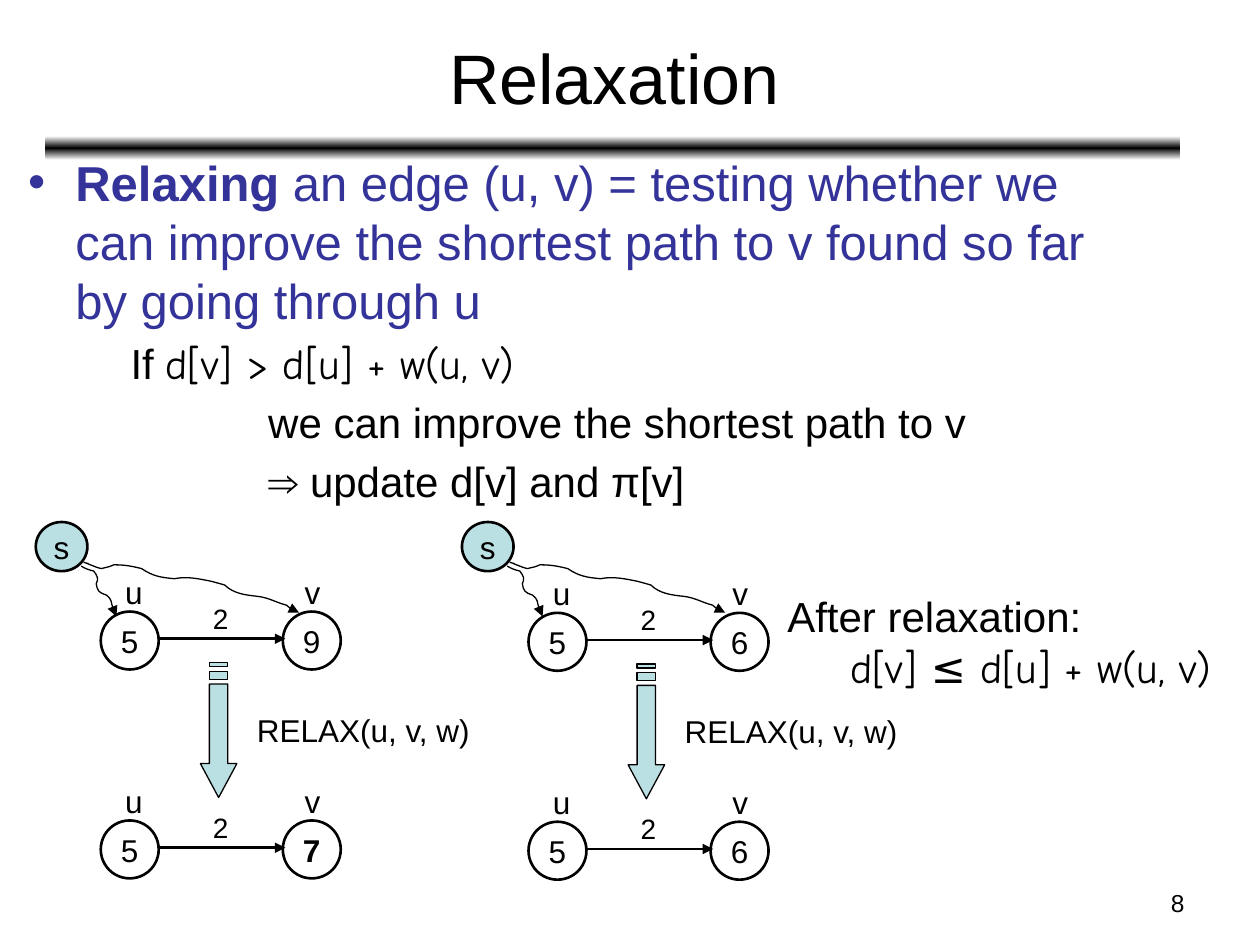
"""Build the slide that explains edge relaxation on two small graphs."""
from copy import deepcopy
from typing import NamedTuple

from lxml.etree import SubElement
from pptx import Presentation
from pptx.dml.color import RGBColor
from pptx.enum.shapes import MSO_CONNECTOR, MSO_SHAPE
from pptx.enum.text import MSO_ANCHOR, PP_ALIGN
from pptx.oxml.ns import qn
from pptx.util import Emu, Inches, Pt

COLORS = {"ink": "000000", "paper": "FFFFFF", "topic": "333399", "accent": "BBE0E3"}
SANS, HAND = "Arial", "Comic Neue"
COLUMNS = 100

Point = tuple[float, float]
Box = tuple[float, float, float, float]


class Run(NamedTuple):
    text: str
    size: float = 18
    font: str = SANS
    color: str = "ink"
    bold: bool = False


class Line(NamedTuple):
    runs: list[Run]
    indent: float = 0
    before: float = 0
    bullet: bool = False
    level: int = 0


class Edge(NamedTuple):
    x: float
    y: float
    u: str
    v: str
    v_bold: bool = False


class Panel(NamedTuple):
    source_x: float
    x: float
    y: float
    before: str
    after: str
    changed: bool


PANELS = [
    Panel(2.84, 8, 48.54, "9", "7", True),
    Panel(36.66, 41.95, 48.64, "6", "6", False),
]
SOURCE_Y, ROW_GAP = 41.43, 16.58
TO_U = [(3.6, 3.5), (3.9, 3.7), (4.2, 3.8), (4.6, 3.9), (4.9, 4.3), (5, 4.5), (4.8, 4.9),
        (4.9, 5.5), (5, 5.6), (5.6, 5.8), (6.1, 6.2), (5.9, 6.4), (6.2, 7),
        (6.3, 7.4), (6.3, 7.2), (6.4, 7.5)]
TO_V = [(3.8, 3.2), (4.8, 3.5), (3.3, 3), (4.6, 3.5), (4.8, 3.6), (5.2, 3.7), (5.2, 3.7),
        (6, 3.5), (5.7, 3.6), (6.2, 3.4), (7.1, 3.4), (7.6, 3.5), (8.4, 3.7),
        (9.3, 4.3), (9.9, 4.4), (11, 4.5), (12, 4.3), (12.9, 4.5), (13.9, 4.7),
        (14.3, 4.8), (15, 5), (15, 5), (15.7, 5.7), (16.7, 5.8), (17.6, 5.9),
        (18.5, 6), (19.1, 6.4), (19.9, 6.6), (20.1, 6.8), (20.4, 7), (20.6, 7.1),
        (20.7, 7.1), (20.9, 7.2), (20.9, 7.2)]

prs = Presentation()
prs.slide_width, prs.slide_height = Inches(10), Inches(7.5)
s = prs.slides.add_slide(prs.slide_layouts[6])


def grid(n: float) -> Emu:
    return Emu(round(prs.slide_width * n / COLUMNS))


def rgb(name: str) -> RGBColor:
    return RGBColor.from_string(COLORS[name])


def style(sp, fill: str | None, width: float) -> None:
    sp.shadow.inherit = False
    if fill:
        sp.fill.solid()
        sp.fill.fore_color.rgb = rgb(fill)
    else:
        sp.fill.background()
    sp.line.color.rgb = rgb("ink")
    sp.line.width = Pt(width)


def add_arrowhead(sp) -> None:
    SubElement(sp._element.spPr.find(qn("a:ln")), qn("a:tailEnd"), type="triangle")


def write(tf, lines: list[Line], align=PP_ALIGN.LEFT) -> None:
    for i, line in enumerate(lines):
        p = tf.add_paragraph() if i else tf.paragraphs[0]
        p.alignment, p.level = align, line.level
        p.space_before = Pt(line.before)
        pPr = p._p.get_or_add_pPr()
        pPr.set("marL", str(grid(line.indent)))
        pPr.set("indent", str(-grid(line.indent) if line.bullet else 0))
        if line.bullet:
            SubElement(pPr, qn("a:buFont"), typeface=SANS)
            SubElement(pPr, qn("a:buChar"), char="•")
        for run in line.runs:
            r = p.add_run()
            r.text = run.text
            r.font.name, r.font.size, r.font.bold = run.font, Pt(run.size), run.bold
            r.font.color.rgb = rgb(run.color)


def add_text(box: Box, lines: list[Line], align=PP_ALIGN.LEFT,
             anchor=MSO_ANCHOR.TOP, wrap: bool = True) -> None:
    tf = s.shapes.add_textbox(*map(grid, box)).text_frame
    tf.word_wrap, tf.vertical_anchor = wrap, anchor
    write(tf, lines, align)


def add_label(box: Box, text: str, size: float = 18) -> None:
    add_text(box, [Line([Run(text, size)])], wrap=False)


def add_node(box: Box, text: str, fill: str | None = None, bold: bool = False) -> None:
    sp = s.shapes.add_shape(MSO_SHAPE.OVAL, *map(grid, box))
    style(sp, fill, 1.5)
    tf = sp.text_frame
    tf.word_wrap, tf.vertical_anchor = False, MSO_ANCHOR.MIDDLE
    write(tf, [Line([Run(text, bold=bold)])], PP_ALIGN.CENTER)


def add_edge(edge: Edge) -> None:
    x, y = edge.x, edge.y
    add_node((x, y, 4.6, 4.6), edge.u)
    add_node((x + 14.45, y, 4.6, 4.6), edge.v, bold=edge.v_bold)
    ends = map(grid, (x + 4.6, y + 2.16, x + 14.65, y + 2.16))
    cxn = s.shapes.add_connector(MSO_CONNECTOR.STRAIGHT, *ends)
    cxn.line.color.rgb, cxn.line.width = rgb("ink"), Pt(1.5)
    add_arrowhead(cxn)
    SubElement(cxn._element.spPr, qn("a:effectLst"))
    add_label((x + 7.9, y - 1.3, 3.2, 3.7), "2", 16)
    add_label((x + 0.95, y - 3.58, 3.4, 4), "u")
    add_label((x + 15.2, y - 3.58, 3.3, 4), "v")


def add_outline(contours: list[list[Point]], x: float, y: float, close: bool):
    placed = [[(grid(x + a), grid(y + b)) for a, b in c] for c in contours]
    builder = s.shapes.build_freeform(*placed[0][0])
    for i, points in enumerate(placed):
        if i:
            builder.move_to(*points[0])
        builder.add_line_segments(points[1:], close=close)
    return builder.convert_to_shape()


def add_striped_arrow(x: float, y: float) -> None:
    stripes = [[(-0.73, a), (0.73, a), (0.73, b), (-0.73, b)] for a, b in ((0, 0.33), (0.7, 1.33))]
    shaft = [(-0.73, 1.7), (0.73, 1.7), (0.73, 8), (1.45, 8), (0, 10.7), (-1.45, 8), (-0.73, 8)]
    style(add_outline([shaft, *stripes], x, y, True), "accent", 0.75)


def add_route(controls: list[Point], x: float, y: float) -> None:
    sp = add_outline([controls], x, y, False)
    segments = list(sp._element.spPr.iter(qn("a:lnTo")))
    for i in range(0, len(segments), 3):
        curve = SubElement(segments[i].getparent(), qn("a:cubicBezTo"))
        for segment in segments[i:i + 3]:
            curve.append(segment[0])
            segment.getparent().remove(segment)
    style(sp, None, 0.75)
    add_arrowhead(sp)


def add_panel(panel: Panel) -> None:
    x, y = panel.x, panel.y
    add_edge(Edge(x, y, "5", panel.before))
    add_edge(Edge(x, y + ROW_GAP, "5", panel.after, panel.changed))
    add_striped_arrow(x + 9.35, y + 4.06)
    add_label((x + 11.4, y + 7.36, 19.1, 4), "RELAX(u, v, w)")
    add_node((panel.source_x, SOURCE_Y, 4.1, 3.9), "s", "accent")
    for route in (TO_U, TO_V):
        add_route(route, panel.source_x, SOURCE_Y)


def add_title_bar() -> None:
    sp = s.shapes.add_shape(MSO_SHAPE.ROUNDED_RECTANGLE, *map(grid, (3.6, 10.8, 90.1, 1.9)))
    sp.shadow.inherit = False
    sp.line.fill.background()
    sp.fill.gradient()
    sp.fill.gradient_angle = 90
    stops = sp._element.spPr.find(qn("a:gradFill")).find(qn("a:gsLst"))
    stops.append(deepcopy(stops[0]))
    for stop, position, color in zip(sp.fill.gradient_stops, (0, 0.5, 1), ("paper", "ink", "paper")):
        stop.position, stop.color.rgb = position, rgb(color)


add_title_bar()
add_text((71.7, 70, 23.3, 3.5), [Line([Run("8", 14)])], PP_ALIGN.RIGHT)
add_text((3.75, 1.1, 90, 9.9), [Line([Run("Relaxation", 40)])], PP_ALIGN.CENTER, MSO_ANCHOR.MIDDLE)
add_text((1.25, 11.62, 90, 31.9), [
    Line([Run("Relaxing ", 28, SANS, "topic", True),
          Run("an edge (u, v) = testing whether we can improve the shortest path to v "
              "found so far by going through u", 28, SANS, "topic")], 3.75, 5.6, True),
    Line([Run("If ", 24), Run("d[v] > d[u] + w(u, v)", 24, HAND)], 8.13, 4.8, level=1),
    Line([Run("we can improve the shortest path to v", 24)], 19.05, 4.8, level=1),
    Line([Run("⇒ update d[v] and π[v]", 24)], 19.05, 4.8, level=1),
])
for panel in PANELS:
    add_panel(panel)
add_text((61.5, 46.4, 37.1, 9), [Line([Run("After relaxation:", 24)]),
                                 Line([Run("d[v] ≤ d[u] + w(u, v)", 24, HAND)], 5, level=1)])
prs.save("out.pptx")
